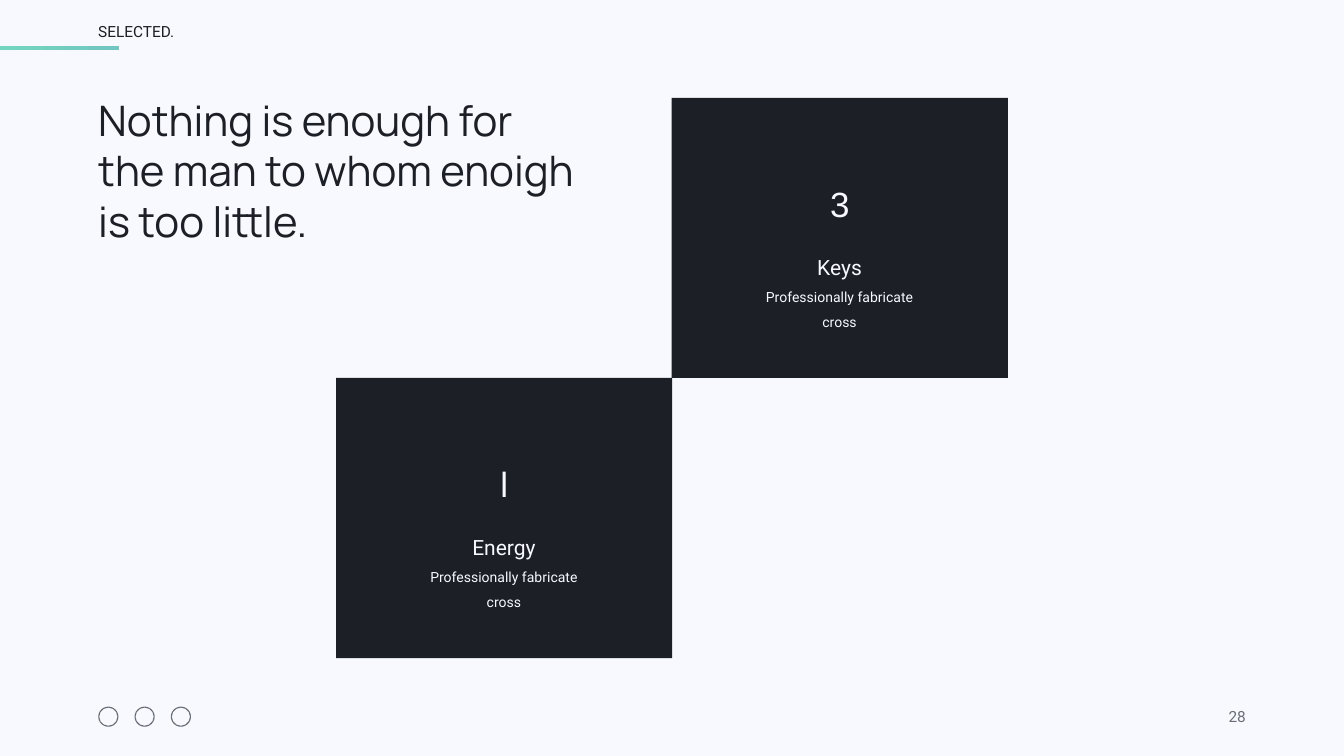
import pptx
import pptx.util
import pptx.dml.color
import pptx.enum.shapes
import pptx.enum.text

Inches = pptx.util.Inches
Shape = pptx.enum.shapes.MSO_SHAPE
Align = pptx.enum.text.PP_ALIGN
Anchor = pptx.enum.text.MSO_ANCHOR

PAPER, INK, GREY = "F7F9FF", "1C1F25", "6A6E77"
MARGIN = 1.95
CARD_WIDTH, CARD_HEIGHT = 6.67, 5.56


def paint(target, color):
    """Give a fill or font a solid hex colour."""
    if hasattr(target, "solid"):
        target.solid()
        target = target.fore_color
    else:
        target = target.color
    target.rgb = pptx.dml.color.RGBColor.from_string(color)


def add_block(page, kind, left, top, width, height, color):
    """Add a flat preset shape without outline or shadow."""
    block = page.shapes.add_shape(
        kind, Inches(left), Inches(top), Inches(width), Inches(height))
    block.shadow.inherit = False
    block.line.fill.background()
    paint(block.fill, color)
    return block


def add_text(page, left, top, width, height, lines, sizes, font, color,
             align=Align.LEFT, anchor=Anchor.TOP, spacing=1.0):
    """Add an unwrapped text box, one paragraph for each line."""
    box = page.shapes.add_textbox(
        Inches(left), Inches(top), Inches(width), Inches(height))
    frame = box.text_frame
    frame.text = "\n".join(lines)
    frame.word_wrap = False
    frame.auto_size = pptx.enum.text.MSO_AUTO_SIZE.SHAPE_TO_FIT_TEXT
    frame.vertical_anchor = anchor
    frame.margin_left = frame.margin_right = 0
    frame.margin_top = frame.margin_bottom = 0
    for para, size in zip(frame.paragraphs, sizes):
        para.alignment = align
        para.line_spacing = spacing
        for span in para.runs:
            span.font.size = pptx.util.Pt(size)
            span.font.name = font
            paint(span.font, color)
    return box


def add_header(page, left, top):
    """Place the section label over its gradient bar."""
    add_text(page, left, top, 1.53, 0.4, ["SELECTED."], [22], "Roboto", INK)
    bar = add_block(page, Shape.RECTANGLE, 0, top + 0.49, 2.36, 0.07, INK)
    bar.fill.gradient()
    bar.fill.gradient_angle = 0
    for stop, color in zip(bar.fill.gradient_stops, ("72D6BE", "72C6C2")):
        stop.color.rgb = pptx.dml.color.RGBColor.from_string(color)


def add_footer(page, left, top):
    """Place a row of rings and the page number."""
    for index in range(3):
        ring = add_block(
            page, Shape.DONUT, left + index * 0.72, top, 0.4, 0.4, GREY)
        ring.adjustments[0] = 0.05
    number = add_text(page, 23.84, top - 0.04, 0.98, 0.4, ["28"], [22],
                      "Roboto", GREY, Align.RIGHT)
    frame = number.text_frame
    frame.word_wrap = True
    frame.auto_size = pptx.enum.text.MSO_AUTO_SIZE.NONE
    frame.margin_left = frame.margin_right = Inches(0.1)
    frame.margin_top = frame.margin_bottom = Inches(0.05)


def add_card(page, left, top, symbol, title, detail):
    """Place a dark card with its symbol, title and detail."""
    add_block(page, Shape.RECTANGLE, left, top, CARD_WIDTH, CARD_HEIGHT, INK)
    add_text(page, left + 2.98, top + 1.53, 0.71, 0.73, [symbol], [50],
             "Arial", PAPER, Align.CENTER, Anchor.MIDDLE, 1.5)
    add_text(page, left + 1.52, top + 2.86, 3.62, 1.17, [title, detail],
             [30, 20], "Roboto", PAPER, Align.CENTER, spacing=1.5)


def main():
    """Build and save the slide."""
    deck = pptx.Presentation()
    deck.slide_width, deck.slide_height = Inches(26.67), Inches(15)
    page = deck.slides.add_slide(deck.slide_layouts[6])
    paint(page.background.fill, PAPER)
    add_footer(page, MARGIN, 14.02)
    add_header(page, MARGIN, 0.43)
    detail = "Professionally fabricate cross"
    add_card(page, 6.67, 7.5, "l", "Energy", detail)
    add_card(page, 13.33, 7.5 - CARD_HEIGHT, "3", "Keys", detail)
    headline = ["Nothing is enough for", "the man to whom enoigh",
                "is too little."]
    add_text(page, MARGIN, 1.95, 9.76, 2.92, headline, [60] * 3, "Manrope",
             INK, anchor=Anchor.BOTTOM)
    deck.save("out.pptx")


if __name__ == "__main__":
    main()
